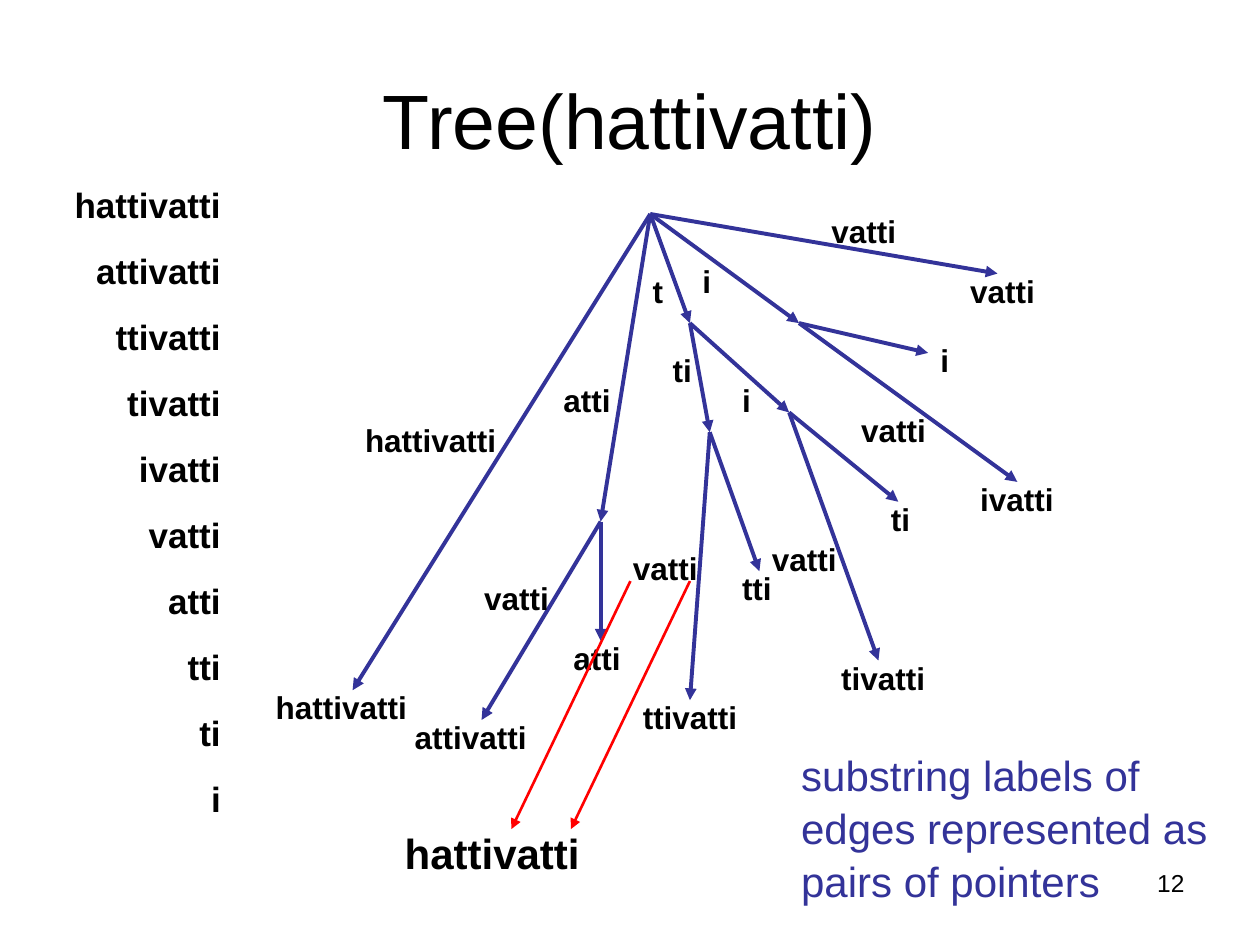
import pptx
import pptx.dml.color
import pptx.enum.shapes
import pptx.enum.text
import pptx.oxml
import pptx.oxml.ns
import pptx.util
from collections import namedtuple

Inches, Pt = pptx.util.Inches, pptx.util.Pt
RGBColor = pptx.dml.color.RGBColor
ALIGN = pptx.enum.text.PP_ALIGN
ANCHOR = pptx.enum.text.MSO_ANCHOR
AUTO_SIZE = pptx.enum.text.MSO_AUTO_SIZE
Box = namedtuple("Box", "left top width height")

BLACK = RGBColor(0x00, 0x00, 0x00)
INDIGO = RGBColor(0x33, 0x33, 0x99)
RED = RGBColor(0xFF, 0x00, 0x00)

WIDTH, HEIGHT = 10, 7.5
CELL = WIDTH / 127  # the tree stands on a square grid, 127 columns to the page
WORD = "hattivatti"

# Tree nodes: column, row
NODES = {
    "root": (39, 1),
    "atti": (34, 32),
    "t": (43, 12),
    "tti": (45, 23),
    "ti": (53, 21),
    "i": (54, 12),
}
# Edges: parent node, then a child node or the position of a leaf
EDGES = [
    ("root", (9, 49)), ("root", "atti"),
    ("atti", (22, 52)), ("atti", (34, 44)),
    ("root", "t"), ("t", "tti"),
    ("tti", (43, 50)), ("tti", (50, 37)),
    ("t", "ti"), ("ti", (62, 46)), ("ti", (64, 30)),
    ("root", "i"), ("i", (76, 28)), ("i", (67, 15)),
    ("root", (74, 7)),
]
# Labels: text, column, row, columns wide
LEAF_LABELS = [
    ("hattivatti", 0, 48, 18), ("attivatti", 14, 51, 18),
    ("ttivatti", 37, 49, 14), ("tivatti", 57, 45, 14),
    ("ivatti", 71, 27, 14), ("vatti", 70, 6, 10),
    ("atti", 30, 43, 10), ("tti", 47, 36, 10),
    ("ti", 62, 29, 6), ("i", 67, 13, 5),
]
EDGE_LABELS = [
    ("hattivatti", 9, 21, 18), ("atti", 29, 17, 10),
    ("vatti", 21, 37, 10), ("vatti", 36, 34, 10),
    ("t", 38, 6, 6), ("ti", 40, 14, 10), ("i", 43, 5, 5),
    ("i", 47, 17, 10), ("vatti", 50, 33, 10),
    ("vatti", 59, 20, 10), ("vatti", 56, 0, 10),
]
# Pointers into the word: start and end, column and row
POINTERS = [((37, 38), (25, 63)), ((43, 38), (31, 63))]


def add_text(page, box, lines, font, align=ALIGN.LEFT, before=0,
             anchor=ANCHOR.TOP, auto_size=AUTO_SIZE.NONE):
    shape = page.shapes.add_textbox(*map(Inches, box))
    frame = shape.text_frame
    frame_format = {"word_wrap": True, "vertical_anchor": anchor,
                    "auto_size": auto_size}
    para_format = {"alignment": align, "space_before": Pt(before),
                   "line_spacing": 1.05}
    font_format = {"name": "Arial", "bold": False, **font}
    color = font_format.pop("color", BLACK)
    for name, value in frame_format.items():
        setattr(frame, name, value)
    for index, line in enumerate(lines):
        para = frame.add_paragraph() if index else frame.paragraphs[0]
        for name, value in para_format.items():
            setattr(para, name, value)
        span = para.add_run()
        span.text = line
        for name, value in font_format.items():
            setattr(span.font, name, value)
        span.font.color.rgb = color


def add_arrow(page, start, end, color, weight):
    arrow = page.shapes.add_connector(
        pptx.enum.shapes.MSO_CONNECTOR.STRAIGHT, *map(Inches, start + end))
    arrow.line.color.rgb = color
    arrow.line.width = Pt(weight)
    properties = arrow.line._get_or_add_ln()
    namespace = pptx.oxml.ns.nsdecls("a")
    properties.append(pptx.oxml.parse_xml(
        f'<a:tailEnd {namespace} type="triangle"/>'))
    properties.getparent().append(pptx.oxml.parse_xml(
        f'<a:effectLst {namespace}/>'))


def add_title(page, box):
    add_text(page, box, ["Tree(hattivatti)"], {"size": Pt(44)},
             ALIGN.CENTER, anchor=ANCHOR.MIDDLE)


def add_suffixes(page, box):
    suffixes = [WORD[start:] for start in range(len(WORD))]
    add_text(page, box, suffixes, {"size": Pt(20), "bold": True},
             ALIGN.RIGHT, before=12.5, auto_size=AUTO_SIZE.SHAPE_TO_FIT_TEXT)


def add_tree(page, box):
    def place(position):
        column, row = position
        return box.left + column * CELL, box.top + row * CELL

    # Edges
    for parent, child in EDGES:
        add_arrow(page, place(NODES[parent]), place(NODES.get(child, child)),
                  INDIGO, 2.25)

    # Labels, five rows high
    for text, column, row, columns in LEAF_LABELS + EDGE_LABELS:
        add_text(page, Box(*place((column, row)), columns * CELL, 5 * CELL),
                 [text], {"size": Pt(18), "bold": True}, before=11.2,
                 auto_size=AUTO_SIZE.SHAPE_TO_FIT_TEXT)

    # Word with the pair of pointers into it
    add_text(page, Box(*place((13, 62)), 26 * CELL, 6.4 * CELL), [WORD],
             {"size": Pt(24), "bold": True}, before=15,
             auto_size=AUTO_SIZE.SHAPE_TO_FIT_TEXT)
    for start, end in POINTERS:
        add_arrow(page, place(start), place(end), RED, 1.5)


def add_remark(page, box):
    add_text(page, box,
             ["substring labels of edges represented as pairs of pointers"],
             {"size": Pt(24), "color": INDIGO}, before=15,
             auto_size=AUTO_SIZE.SHAPE_TO_FIT_TEXT)


def add_page_number(page, box):
    add_text(page, box, ["12"], {"size": Pt(14)}, ALIGN.RIGHT)


def main():
    deck = pptx.Presentation()
    deck.slide_width, deck.slide_height = Inches(WIDTH), Inches(HEIGHT)
    page = deck.slides.add_slide(deck.slide_layouts[6])
    add_title(page, Box(0.5, 0.3, 9, 1.25))
    add_suffixes(page, Box(0.2, 1.39, 1.65, 5))
    add_tree(page, Box(2.09, 1.62, 85 * CELL, 69 * CELL))
    add_remark(page, Box(6.26, 5.88, 3.62, 1.3))
    add_page_number(page, Box(7.17, 6.83, 2.33, 0.52))
    deck.save("out.pptx")


if __name__ == "__main__":
    main()
